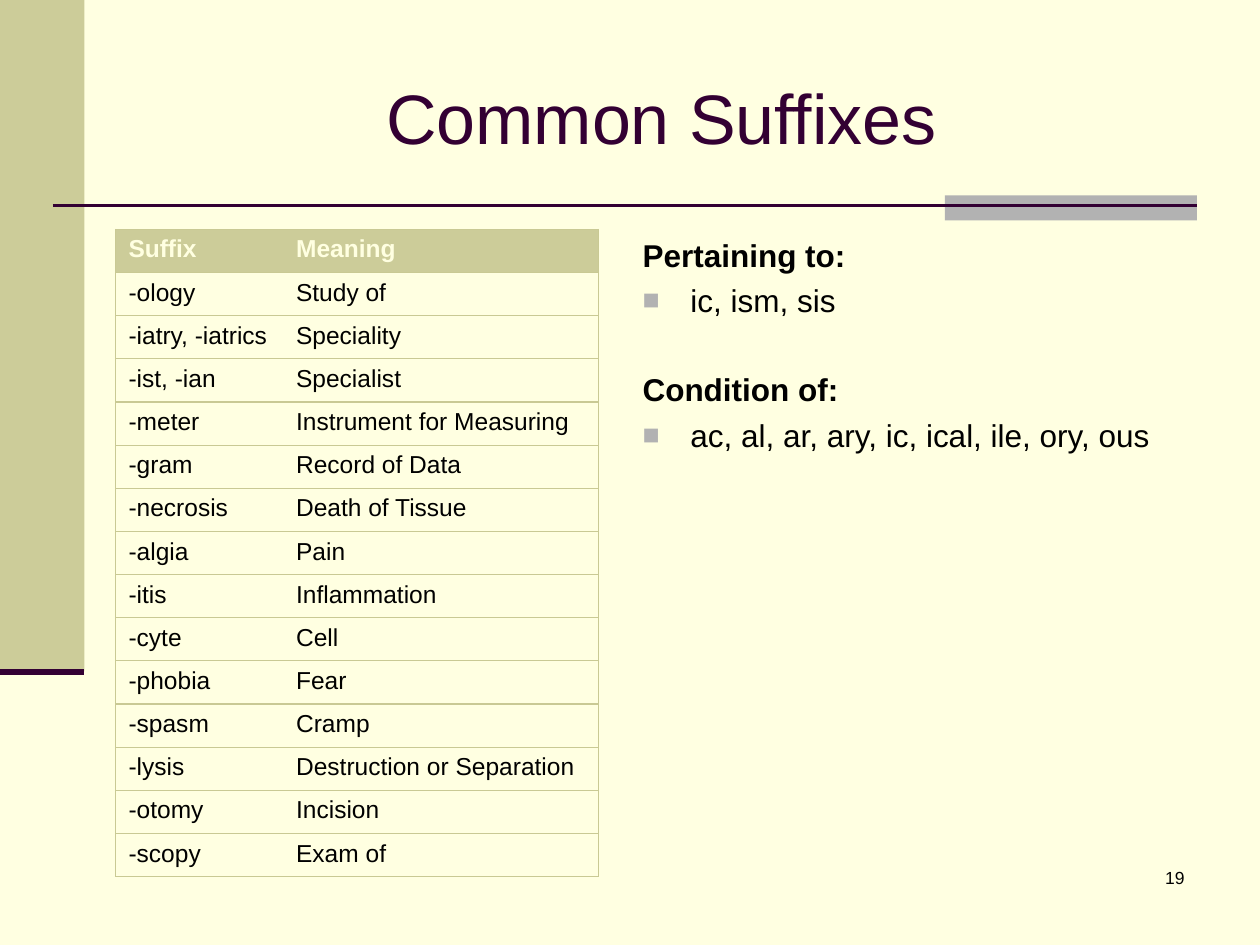
import pptx
import pptx.dml.color
import pptx.enum.shapes
import pptx.enum.text
import pptx.oxml
import pptx.oxml.ns
import pptx.util
from lxml import etree
from pptx.util import Inches

COLORS = {
    "paper": "FFFFE1",
    "olive": "CCCC99",
    "grid": "C9C994",
    "gray": "B2B2B2",
    "plum": "330033",
    "ink": "000000",
}
ALIGN = pptx.enum.text.PP_ALIGN
ANCHOR = pptx.enum.text.MSO_ANCHOR

SUFFIXES = [
    ("Suffix", "Meaning"),
    ("-ology", "Study of"),
    ("-iatry, -iatrics", "Speciality"),
    ("-ist, -ian", "Specialist"),
    ("-meter", "Instrument for Measuring"),
    ("-gram", "Record of Data"),
    ("-necrosis", "Death of Tissue"),
    ("-algia", "Pain"),
    ("-itis", "Inflammation"),
    ("-cyte", "Cell"),
    ("-phobia", "Fear"),
    ("-spasm", "Cramp"),
    ("-lysis", "Destruction or Separation"),
    ("-otomy", "Incision"),
    ("-scopy", "Exam of"),
]
GROUPS = [
    ("Pertaining to:", "ic, ism, sis"),
    ("Condition of:", "ac, al, ar, ary, ic, ical, ile, ory, ous"),
]


def rgb(name):
    return pptx.dml.color.RGBColor.from_string(COLORS[name])


def add_xml(parent, tag, **attributes):
    return etree.SubElement(parent, pptx.oxml.ns.qn(tag), attributes)


class SlideBuilder:
    font = "Arial"

    def __init__(self, page):
        self.page = page
        page.background.fill.solid()
        page.background.fill.fore_color.rgb = rgb("paper")

    def band(self, left, top, width, height, color):
        box = self.page.shapes.add_shape(
            pptx.enum.shapes.MSO_SHAPE.RECTANGLE,
            Inches(left), Inches(top), Inches(width), Inches(height))
        box.shadow.inherit = False
        box.fill.solid()
        box.fill.fore_color.rgb = rgb(color)
        box.line.fill.background()

    def rule(self, left, right, top, weight):
        line = self.page.shapes.add_connector(
            pptx.enum.shapes.MSO_CONNECTOR.STRAIGHT,
            Inches(left), Inches(top), Inches(right), Inches(top))
        line.line.color.rgb = rgb("plum")
        line.line.width = pptx.util.Pt(weight)
        add_xml(line._element.spPr, "a:effectLst")

    def add_span(self, para, text, size, color="ink", bold=False, align=ALIGN.LEFT):
        para.alignment = align
        span = para.add_run()
        span.text = text
        span.font.name = self.font
        span.font.size = pptx.util.Pt(size)
        span.font.bold = bold
        span.font.color.rgb = rgb(color)

    def place(self, box, left, top, width, height, anchor=ANCHOR.TOP):
        box.left, box.top = Inches(left), Inches(top)
        box.width, box.height = Inches(width), Inches(height)
        frame = box.text_frame
        frame.word_wrap = True
        frame.auto_size = pptx.enum.text.MSO_AUTO_SIZE.NONE
        frame.vertical_anchor = anchor
        return frame

    def title(self, text):
        frame = self.place(self.page.shapes.title, 1, 0.3, 8.5, 1.25, ANCHOR.MIDDLE)
        self.add_span(frame.paragraphs[0], text, 40, "plum", align=ALIGN.CENTER)

    def heading(self, para, text, space):
        para.space_before = pptx.util.Pt(space)
        properties = para._p.get_or_add_pPr()
        properties.set("marL", "0")
        properties.set("indent", "0")
        add_xml(properties, "a:buNone")
        self.add_span(para, text, 18, bold=True)

    def bullet(self, para, text, space):
        para.space_before = pptx.util.Pt(space)
        properties = para._p.get_or_add_pPr()
        properties.set("marL", str(Inches(0.38)))
        properties.set("indent", str(Inches(-0.38)))
        add_xml(add_xml(properties, "a:buClr"), "a:srgbClr", val=COLORS["gray"])
        add_xml(properties, "a:buSzPct", val="90000")
        add_xml(properties, "a:buFont", typeface=self.font)
        add_xml(properties, "a:buChar", char="■")
        self.add_span(para, text, 18)

    def groups(self, groups, left, top, width, height):
        frame = self.place(self.page.placeholders[1], left, top, width, height)
        for index, (heading, endings) in enumerate(groups):
            para = frame.add_paragraph() if index else frame.paragraphs[0]
            self.heading(para, heading, 29.5 if index else 4.3)
            self.bullet(frame.add_paragraph(), endings, 4.3)

    def number(self, text, left, top, width, height):
        box = self.page.shapes.add_textbox(0, 0, 0, 0)
        frame = self.place(box, left, top, width, height)
        self.add_span(frame.paragraphs[0], text, 10, align=ALIGN.RIGHT)

    def borders(self, cell, visible):
        properties = cell._tc.get_or_add_tcPr()
        for side in "LRTB":
            line = add_xml(properties, "a:ln" + side, w=str(pptx.util.Pt(0.75)))
            if side in visible:
                fill = add_xml(line, "a:solidFill")
                add_xml(fill, "a:srgbClr", val=COLORS["grid"])
            else:
                add_xml(line, "a:noFill")

    def table(self, rows, left, top, widths, row_height):
        table = self.page.shapes.add_table(
            len(rows), len(widths), Inches(left), Inches(top),
            Inches(sum(widths)), Inches(row_height * len(rows))).table
        table.horz_banding = False
        for column, width in zip(table.columns, widths):
            column.width = Inches(width)
        for row_index, texts in enumerate(rows):
            table.rows[row_index].height = Inches(row_height)
            header = row_index == 0
            for column_index, text in enumerate(texts):
                cell = table.cell(row_index, column_index)
                self.borders(cell, "TB" + "LR"[column_index])
                if header:
                    cell.fill.solid()
                    cell.fill.fore_color.rgb = rgb("olive")
                else:
                    cell.fill.background()
                self.add_span(cell.text_frame.paragraphs[0], text, 14,
                              "paper" if header else "ink", bold=header)


def main():
    deck = pptx.Presentation()
    deck.slide_width, deck.slide_height = Inches(10), Inches(7.5)
    builder = SlideBuilder(deck.slides.add_slide(deck.slide_layouts[1]))

    # Side band and title rule
    builder.band(0, 0, 0.67, 5.33, "olive")
    builder.band(7.5, 1.55, 2, 0.2, "gray")
    builder.rule(0.42, 9.5, 1.63, 1.5)
    builder.rule(0, 0.67, 5.33, 3.5)

    # Title, endings by meaning, and page number
    builder.title("Common Suffixes")
    builder.groups(GROUPS, 5, 1.82, 4.33, 2)
    builder.number("19", 7.42, 6.83, 2.08, 0.5)

    # Suffix table
    builder.table(SUFFIXES, 0.92, 1.82, (1.33, 2.5), 5.14 / len(SUFFIXES))

    deck.save("out.pptx")


if __name__ == "__main__":
    main()
